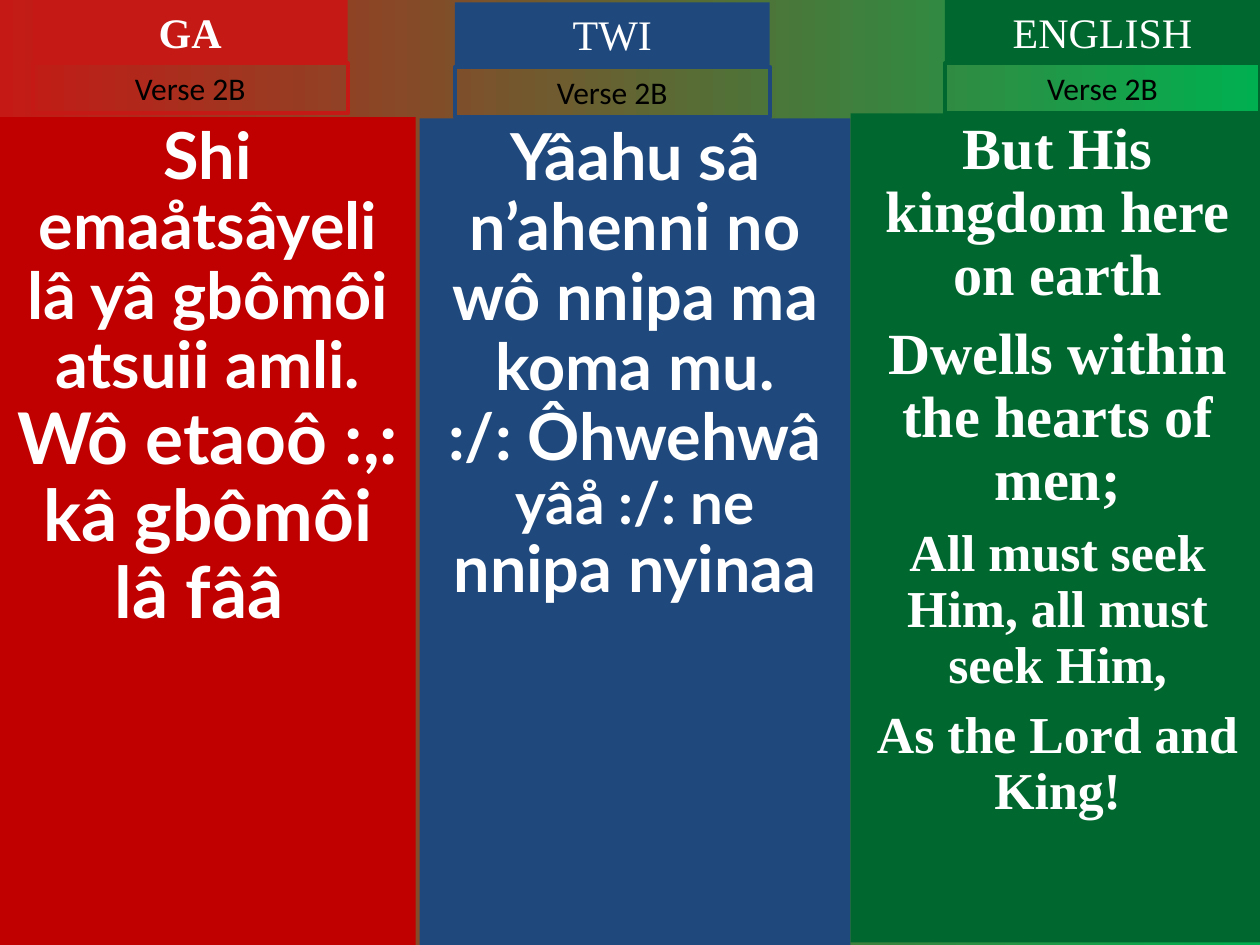
"""Build a hymn verse slide with Ga, Twi and English columns."""
from dataclasses import dataclass

from pptx import Presentation
from pptx.dml.color import RGBColor as Rgb
from pptx.enum.shapes import MSO_SHAPE as Preset
from pptx.enum.text import MSO_ANCHOR as Anchor, MSO_AUTO_SIZE as AutoSize, PP_ALIGN as Align
from pptx.util import Inches, Pt


@dataclass(frozen=True)
class Theme:
    """Hold the colours, fonts and type sizes."""
    red: str = "C00000"
    bright_red: str = "C51915"
    blue: str = "1F497D"
    green: str = "00682F"
    bright_green: str = "00B050"
    white: str = "FFFFFF"
    black: str = "000000"
    sans: str = "Lato"
    serif: str = "Times New Roman"
    label_font: str = "Calibri"
    title_size: float = 24
    label_size: float = 18
    huge: float = 40.7
    large: float = 37
    medium: float = 33.3
    small: float = 29.6


THEME = Theme()


@dataclass(frozen=True)
class Box:
    """Give a rectangle in inches."""
    left: float
    top: float
    width: float
    height: float


@dataclass(frozen=True)
class Line:
    """Describe one paragraph as (text, size) runs."""
    runs: tuple[tuple[str, float], ...]
    before: float = 0


@dataclass(frozen=True)
class Column:
    """Describe one language column with its heading and label."""
    title: str
    title_bold: bool
    heading_color: str
    heading_left: float
    heading_top: float
    label_top: float
    body: Box
    body_color: str
    font: str
    lines: tuple[Line, ...]


COLUMNS = (
    Column("GA", True, THEME.bright_red, 0.26, 0, 0.5,
           Box(0, 0.93, 3.3, 6.57), THEME.red, THEME.sans, (
               Line((("Shi emaåtsâyeli lâ yâ gbômôi atsuii amli.", THEME.large),)),
               Line((("Wô etaoô :,:", THEME.huge),)),
               Line((("kâ gbômôi lâ fââ ", THEME.huge),)))),
    Column("TWI", False, THEME.blue, 3.61, 0.02, 0.53,
           Box(3.33, 0.94, 3.42, 6.56), THEME.blue, THEME.sans, (
               Line((("Yâahu sâ n’ahenni no wô nnipa ma koma mu.", THEME.large),)),
               Line(((":/: Ôhwehwâ ", THEME.large), ("yâå :/: ne ", THEME.medium),
                     ("nnipa nyinaa", THEME.large))))),
    Column("ENGLISH", False, THEME.green, 7.5, 0, 0.5,
           Box(6.75, 0.9, 3.29, 6.58), THEME.green, THEME.serif, (
               Line((("But His kingdom here on earth", THEME.medium),)),
               Line((("Dwells within the hearts of men;", THEME.medium),), 9),
               Line((("All must seek Him, all must seek Him,", THEME.small),), 8),
               Line((("As the Lord and King!", THEME.small),), 8))),
)


def add_box(slide, box: Box, *, fill: str | None = None, line: str | None = None):
    """Add a rectangle with an optional fill and outline."""
    lengths = (Inches(value) for value in (box.left, box.top, box.width, box.height))
    shape = slide.shapes.add_shape(Preset.RECTANGLE, *lengths)
    shape.shadow.inherit = False
    if fill:
        shape.fill.solid()
        shape.fill.fore_color.rgb = Rgb.from_string(fill)
    else:
        shape.fill.background()
    if line:
        shape.line.color.rgb = Rgb.from_string(line)
        shape.line.width = Pt(2.25)
    else:
        shape.line.fill.background()
    return shape


def write_text(shape, lines: tuple[Line, ...], *, font: str, color: str,
               bold: bool = False, spacing: float = 1, grow: bool = False) -> None:
    """Fill a shape with centred, top-anchored paragraphs."""
    frame = shape.text_frame
    frame.word_wrap = True
    frame.vertical_anchor = Anchor.TOP
    frame.auto_size = AutoSize.SHAPE_TO_FIT_TEXT if grow else AutoSize.NONE
    for index, line in enumerate(lines):
        paragraph = frame.add_paragraph() if index else frame.paragraphs[0]
        paragraph.alignment = Align.CENTER
        paragraph.line_spacing = spacing
        paragraph.space_before = Pt(line.before)
        for text, size in line.runs:
            run = paragraph.add_run()
            run.text = text
            run.font.name = font
            run.font.size = Pt(size)
            run.font.bold = bold
            run.font.color.rgb = Rgb.from_string(color)


def draw_body(slide, column: Column) -> None:
    """Draw the verse panel of a column."""
    panel = add_box(slide, column.body, fill=column.body_color)
    write_text(panel, column.lines, font=column.font, color=THEME.white, bold=True, spacing=0.9)


def draw_heading(slide, column: Column) -> None:
    """Draw the language name and the verse label of a column."""
    heading = add_box(slide, Box(column.heading_left, column.heading_top, 2.5, 0.5),
                      fill=column.heading_color)
    write_text(heading, (Line(((column.title, THEME.title_size),)),), font=THEME.serif,
               color=THEME.white, bold=column.title_bold, grow=True)
    label = add_box(slide, Box(column.heading_left, column.label_top, 2.5, 0.4),
                    line=column.heading_color)
    write_text(label, (Line((("Verse 2B", THEME.label_size),)),), font=THEME.label_font,
               color=THEME.black, grow=True)


def paint_background(slide) -> None:
    """Paint the red to green background gradient."""
    fill = slide.background.fill
    fill.gradient()
    fill.gradient_angle = 0
    for stop, color in zip(fill.gradient_stops, (THEME.bright_red, THEME.bright_green)):
        stop.color.rgb = Rgb.from_string(color)


def main() -> None:
    """Build and save the presentation."""
    presentation = Presentation()
    presentation.slide_width = Inches(10)
    presentation.slide_height = Inches(7.5)
    slide = presentation.slides.add_slide(presentation.slide_layouts[6])
    paint_background(slide)
    for draw in (draw_body, draw_heading):
        for column in COLUMNS:
            draw(slide, column)
    presentation.save("out.pptx")


if __name__ == "__main__":
    main()
